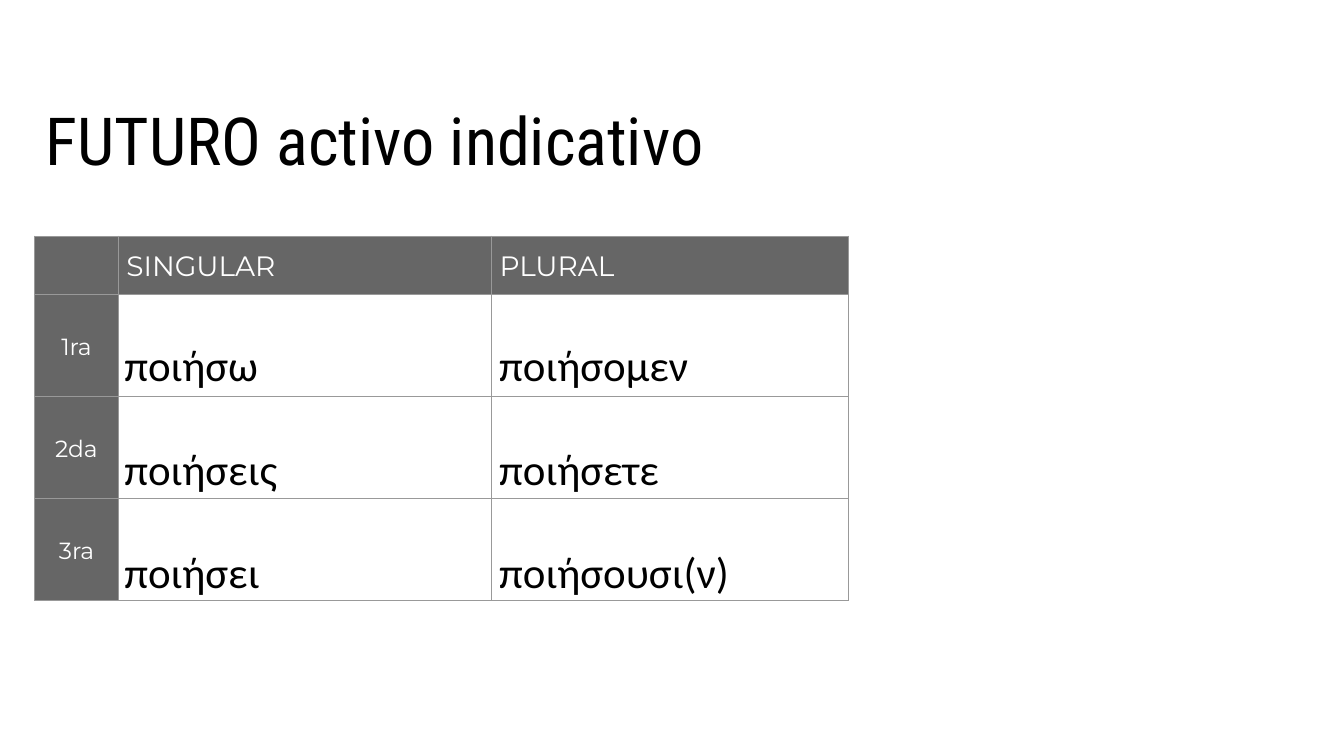
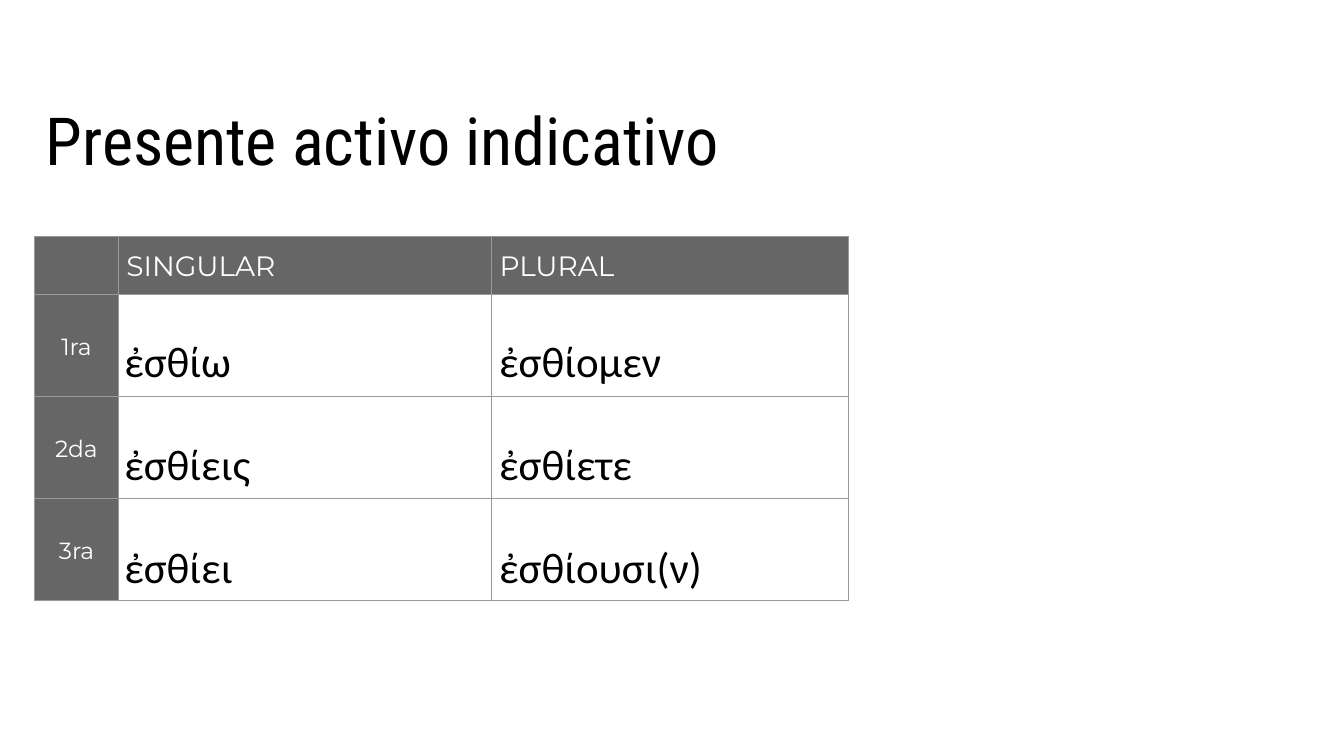
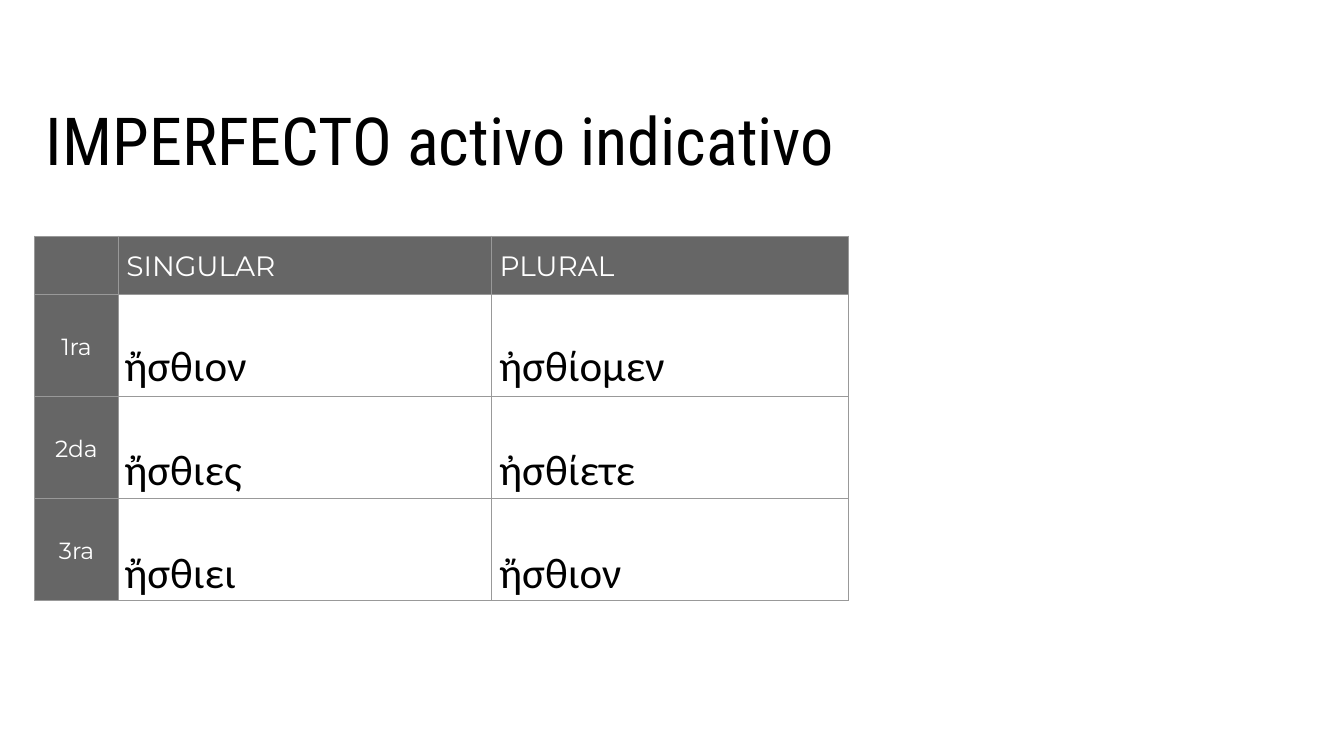
"""Build three slides of Greek verb tables, one tense to a slide."""
from lxml import etree
from pptx import Presentation
from pptx.dml.color import RGBColor
from pptx.enum.text import MSO_ANCHOR, MSO_AUTO_SIZE, PP_ALIGN
from pptx.oxml.ns import qn
from pptx.util import Cm, Pt

TOP, MIDDLE = MSO_ANCHOR.TOP, MSO_ANCHOR.MIDDLE
LEFT, CENTER = PP_ALIGN.LEFT, PP_ALIGN.CENTER
FIXED = MSO_AUTO_SIZE.NONE

BLACK = RGBColor(0x00, 0x00, 0x00)
WHITE = RGBColor(0xFF, 0xFF, 0xFF)
GREY = RGBColor(0x66, 0x66, 0x66)
RULE = RGBColor(0x99, 0x99, 0x99)

HEADS = ["SINGULAR", "PLURAL"]
PERSONS = ["1ra", "2da", "3ra"]
TENSES = [
    {
        "title": "FUTURO activo indicativo",
        "top": 10.62,
        "widths": (13.72, 13.11),
        "forms": (
            ["ποιήσω", "ποιήσεις", "ποιήσει"],
            ["ποιήσομεν", "ποιήσετε", "ποιήσουσι(ν)"],
        ),
    },
    {
        "title": "Presente activo indicativo",
        "top": 10.46,
        "widths": (10.34, 9.93),
        "forms": (
            ["ἐσθίω", "ἐσθίεις", "ἐσθίει"],
            ["ἐσθίομεν", "ἐσθίετε", "ἐσθίουσι(ν)"],
        ),
    },
    {
        "title": "IMPERFECTO activo indicativo",
        "top": 10.62,
        "widths": (10.34, 9.93),
        "forms": (
            ["ἤσθιον", "ἤσθιες", "ἤσθιει"],
            ["ἠσθίομεν", "ἠσθίετε", "ἤσθιον"],
        ),
    },
]

EDGE = 1.3
TABLE_TOP = 8.92
COLS = [3.18, 14.1, 13.5]
ROWS = [2.2] + [3.86] * len(PERSONS)
FORM_LEFTS = [4.45, 18.62]
FORM_HEIGHT = 11.76


def pad(part, size):
    """Give a cell or text frame the same inset on all sides."""
    part.margin_left = part.margin_right = Cm(size)
    part.margin_top = part.margin_bottom = Cm(size)


def write(frame, lines, font, size, color, space=1.0, align=LEFT):
    """Fill a text frame with one paragraph per line."""
    for i, line in enumerate(lines):
        para = frame.add_paragraph() if i else frame.paragraphs[0]
        para.alignment = align
        para.line_spacing = space
        run = para.add_run()
        run.text = line
        run.font.name = font
        run.font.size = Pt(size)
        run.font.bold = False
        run.font.color.rgb = color


def rule(cell):
    """Draw thin lines on the four sides of a cell."""
    props = cell._tc.get_or_add_tcPr()
    for side in ("lnL", "lnR", "lnT", "lnB"):
        line = etree.SubElement(props, qn(f"a:{side}"), w=str(Pt(0.75)))
        fill = etree.SubElement(line, qn("a:solidFill"))
        etree.SubElement(fill, qn("a:srgbClr"), val=str(RULE))


def add_title(slide, text):
    """Place and format the slide title."""
    title = slide.shapes.title
    title.left, title.top = Cm(EDGE), Cm(3.33)
    title.width, title.height = Cm(42.72), Cm(2.97)
    frame = title.text_frame
    frame.auto_size = FIXED
    frame.word_wrap = True
    frame.vertical_anchor = TOP
    pad(frame, 0.43)
    write(frame, [text], "Roboto Condensed", 71, BLACK)


def add_grid(slide):
    """Add the table with number heads and person labels."""
    table = slide.shapes.add_table(
        len(ROWS), len(COLS), Cm(EDGE), Cm(TABLE_TOP), Cm(sum(COLS)), Cm(sum(ROWS))
    ).table
    table.first_row = table.horz_banding = False
    for col, width in zip(table.columns, COLS):
        col.width = Cm(width)
    for row, height in zip(table.rows, ROWS):
        row.height = Cm(height)
    for r in range(len(ROWS)):
        for c in range(len(COLS)):
            cell = table.cell(r, c)
            rule(cell)
            if r and c:
                cell.fill.background()
            else:
                cell.fill.solid()
                cell.fill.fore_color.rgb = GREY
    for c, head in enumerate(HEADS, 1):
        cell = table.cell(0, c)
        pad(cell, 0.3)
        write(cell.text_frame, [head], "Montserrat", 30, WHITE, 1.15)
    for r, person in enumerate(PERSONS, 1):
        cell = table.cell(r, 0)
        pad(cell, 0.25)
        cell.vertical_anchor = MIDDLE
        write(cell.text_frame, [person], "Montserrat", 25, WHITE, 1.15, CENTER)


def add_forms(slide, tense):
    """Lay the verb forms over the table, one box per number."""
    for left, width, forms in zip(FORM_LEFTS, tense["widths"], tense["forms"]):
        box = slide.shapes.add_textbox(
            Cm(left), Cm(tense["top"]), Cm(width), Cm(FORM_HEIGHT)
        )
        frame = box.text_frame
        frame.word_wrap = True
        pad(frame, 0.25)
        write(frame, forms, "Calibri", 46, BLACK, 2.0)


def main():
    """Build and save the slides."""
    deck = Presentation()
    deck.slide_width, deck.slide_height = Cm(50.8), Cm(28.58)
    for tense in TENSES:
        slide = deck.slides.add_slide(deck.slide_layouts.get_by_name("Title Only"))
        add_title(slide, tense["title"])
        add_grid(slide)
        add_forms(slide, tense)
    deck.save("out.pptx")


if __name__ == "__main__":
    main()
